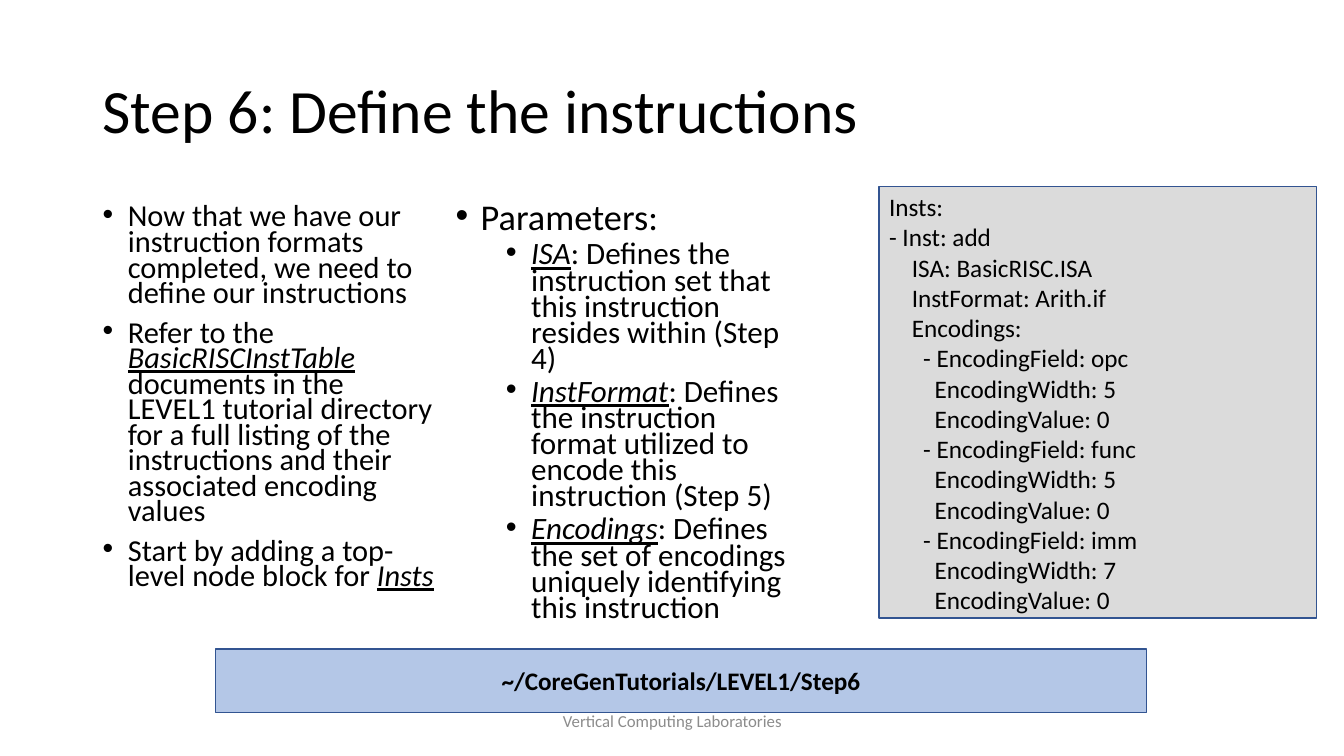
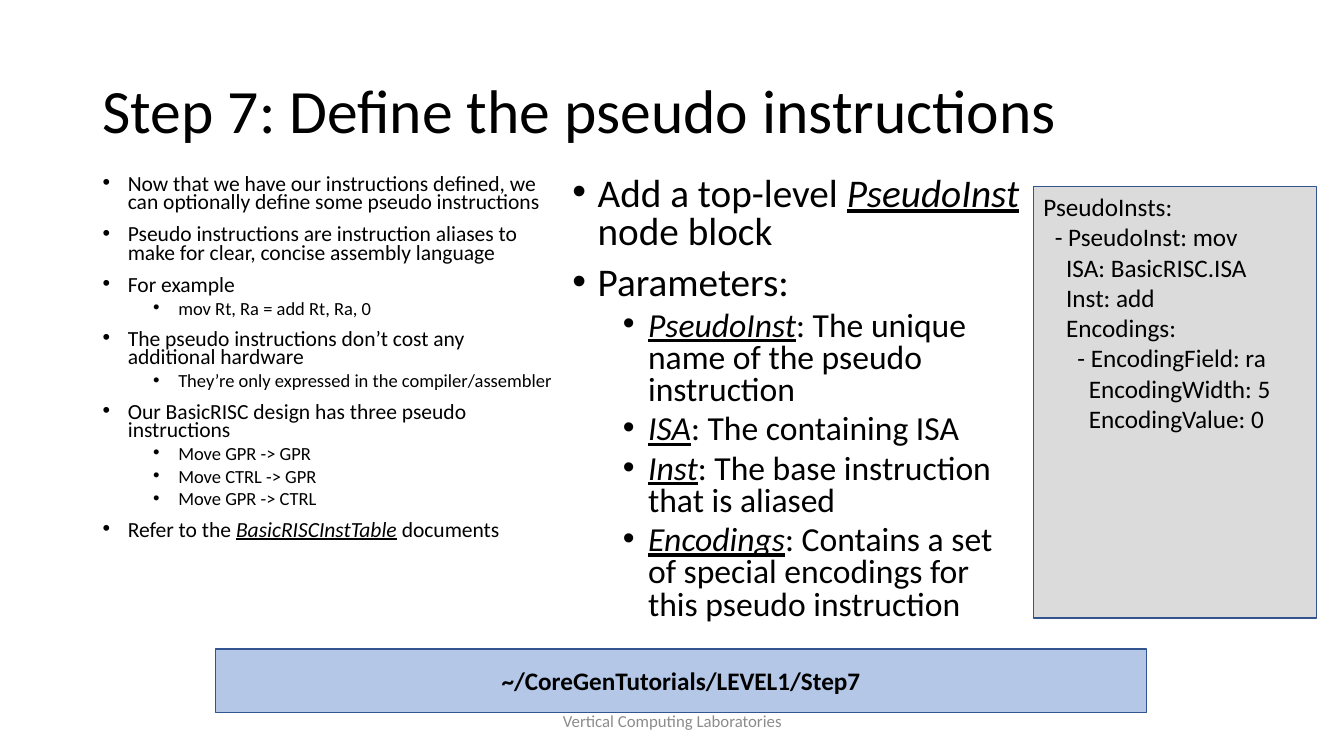
from lxml import etree
from pptx import Presentation
from pptx import util as u
from pptx.dml.color import RGBColor
from pptx.enum import shapes, text
from pptx.oxml import ns

# Content: *stars* mark italic underlined terms; bullets are (level, text)
FOOTER = "Vertical Computing Laboratories"
SLIDES = [
    {
        "title": "Step 6: Define the instructions",
        "directory": "~/CoreGenTutorials/LEVEL1/Step6",
        "columns": [
            {"box": (92, 200, 350, 432), "sizes": (21.7, 21.7), "spacing": 0.7, "bullets": [
                (0, "Now that we have our instruction formats completed, we need to define our instructions"),
                (0, "Refer to the *BasicRISCInstTable* documents in the LEVEL1 tutorial directory "
                    "for a full listing of the instructions and their associated encoding values"),
                (0, "Start by adding a top-level node block for *Insts*"),
            ]},
            {"box": (442, 200, 350, 432), "sizes": (25.9, 22.2), "spacing": 0.7, "bullets": [
                (0, "Parameters:"),
                (1, "*ISA*: Defines the instruction set that this instruction resides within (Step 4)"),
                (1, "*InstFormat*: Defines the instruction format utilized to encode this instruction (Step 5)"),
                (1, "*Encodings*: Defines the set of encodings uniquely identifying this instruction"),
            ]},
        ],
        "code_left": 872,
        "code": """\
Insts:
- Inst: add
    ISA: BasicRISC.ISA
    InstFormat: Arith.if
    Encodings:
      - EncodingField: opc
        EncodingWidth: 5
        EncodingValue: 0
      - EncodingField: func
        EncodingWidth: 5
        EncodingValue: 0
      - EncodingField: imm
        EncodingWidth: 7
        EncodingValue: 0""",
    },
    {
        "title": "Step 7: Define the pseudo instructions",
        "directory": "~/CoreGenTutorials/LEVEL1/Step7",
        "columns": [
            {"box": (92, 171, 467, 461), "sizes": (15.4, 13.2), "spacing": 0.7, "bullets": [
                (0, "Now that we have our instructions defined, we can optionally define some pseudo instructions"),
                (0, "Pseudo instructions are instruction aliases to make for clear, concise assembly language"),
                (0, "For example"),
                (1, "mov Rt, Ra = add Rt, Ra, 0"),
                (0, "The pseudo instructions don’t cost any additional hardware"),
                (1, "They’re only expressed in the compiler/assembler"),
                (0, "Our BasicRISC design has three pseudo instructions"),
                (1, "Move GPR -> GPR"),
                (1, "Move CTRL -> GPR"),
                (1, "Move GPR -> CTRL"),
                (0, "Refer to the *BasicRISCInstTable* documents"),
            ]},
            {"box": (558, 171, 467, 461), "sizes": (28, 24), "spacing": 0.8, "bullets": [
                (0, "Add a top-level *PseudoInst* node block"),
                (0, "Parameters:"),
                (1, "*PseudoInst*: The unique name of the pseudo instruction"),
                (1, "*ISA*: The containing ISA"),
                (1, "*Inst*: The base instruction that is aliased"),
                (1, "*Encodings*: Contains a set of special encodings for this pseudo instruction"),
            ]},
        ],
        "code_left": 1025,
        "code": """\
PseudoInsts:
  - PseudoInst: mov
    ISA: BasicRISC.ISA
    Inst: add
    Encodings:
      - EncodingField: ra
        EncodingWidth: 5
        EncodingValue: 0""",
    },
]

# Shared look
PX = u.Inches(1) // 100
FONT = "Calibri"
BLACK = RGBColor(0x00, 0x00, 0x00)
GRAY = RGBColor(0x8C, 0x8C, 0x8C)
CODE_FILL = RGBColor(0xDB, 0xDB, 0xDB)
BAND_FILL = RGBColor(0xB4, 0xC7, 0xE7)
OUTLINE = RGBColor(0x32, 0x54, 0x91)

TITLE_BOX = (92, 40, 1150, 145)
FOOTER_BOX = (442, 695, 450, 40)
BAND_BOX = (214, 644, 923, 63)
CODE_TOP, CODE_RIGHT, CODE_HEIGHT = 185, 1306, 428
BULLET_INDENTS = (25, 75)
HANGING = 25
SPACE_BEFORE = (10, 5)

TOP, MIDDLE = text.MSO_ANCHOR.TOP, text.MSO_ANCHOR.MIDDLE
LEFT, CENTER = text.PP_ALIGN.LEFT, text.PP_ALIGN.CENTER


def scaled(box):
    return [value * PX for value in box]


def apply_format(target, **values):
    for name, value in values.items():
        setattr(target, name, value)


def write_runs(paragraph, content, size, color=BLACK, bold=False):
    for index, part in enumerate(content.split("*")):
        if not part:
            continue
        run = paragraph.add_run()
        run.text = part
        term = index % 2 == 1
        apply_format(run.font, name=FONT, size=u.Pt(size), bold=bold, italic=term, underline=term)
        run.font.color.rgb = color


def write_lines(shape, lines, size, anchor=TOP, align=LEFT, spacing=None, **font):
    frame = shape.text_frame
    apply_format(frame, word_wrap=True, vertical_anchor=anchor)
    for index, line in enumerate(lines):
        paragraph = frame.add_paragraph() if index else frame.paragraphs[0]
        apply_format(paragraph, alignment=align, line_spacing=spacing)
        write_runs(paragraph, line, size, **font)


def add_label(slide, box, content, size, **style):
    write_lines(slide.shapes.add_textbox(*scaled(box)), [content], size, anchor=MIDDLE, **style)


def add_panel(slide, box, fill, lines, **style):
    shape = slide.shapes.add_shape(shapes.MSO_SHAPE.RECTANGLE, *scaled(box))
    shape.shadow.inherit = False
    shape.fill.solid()
    shape.fill.fore_color.rgb = fill
    shape.line.color.rgb = OUTLINE
    shape.line.width = u.Pt(1)
    write_lines(shape, lines, 18, **style)


def add_bullets(slide, box, sizes, spacing, bullets):
    frame = slide.shapes.add_textbox(*scaled(box)).text_frame
    frame.word_wrap = True
    for index, (level, content) in enumerate(bullets):
        paragraph = frame.add_paragraph() if index else frame.paragraphs[0]
        properties = paragraph._p.get_or_add_pPr()
        properties.set("marL", str(BULLET_INDENTS[level] * PX))
        properties.set("indent", str(-HANGING * PX))
        etree.SubElement(properties, ns.qn("a:buFont"), typeface="Arial")
        etree.SubElement(properties, ns.qn("a:buChar"), char="•")
        apply_format(paragraph, level=level, line_spacing=spacing,
                     space_before=u.Pt(SPACE_BEFORE[level] if index else 0))
        write_runs(paragraph, content, sizes[level])


def build_slide(presentation, content):
    slide = presentation.slides.add_slide(presentation.slide_layouts[6])
    # Title and footer
    add_label(slide, TITLE_BOX, content["title"], 44, spacing=0.9)
    add_label(slide, FOOTER_BOX, FOOTER, 12, align=CENTER, color=GRAY)
    # Directory band and code listing
    add_panel(slide, BAND_BOX, BAND_FILL, [content["directory"]],
              anchor=MIDDLE, align=CENTER, bold=True)
    left = content["code_left"]
    add_panel(slide, (left, CODE_TOP, CODE_RIGHT - left, CODE_HEIGHT), CODE_FILL,
              content["code"].split("\n"))
    # Bullet columns
    for column in content["columns"]:
        add_bullets(slide, **column)


def main():
    presentation = Presentation()
    apply_format(presentation, slide_width=1333 * PX, slide_height=750 * PX)
    for content in SLIDES:
        build_slide(presentation, content)
    presentation.save("out.pptx")


if __name__ == "__main__":
    main()
